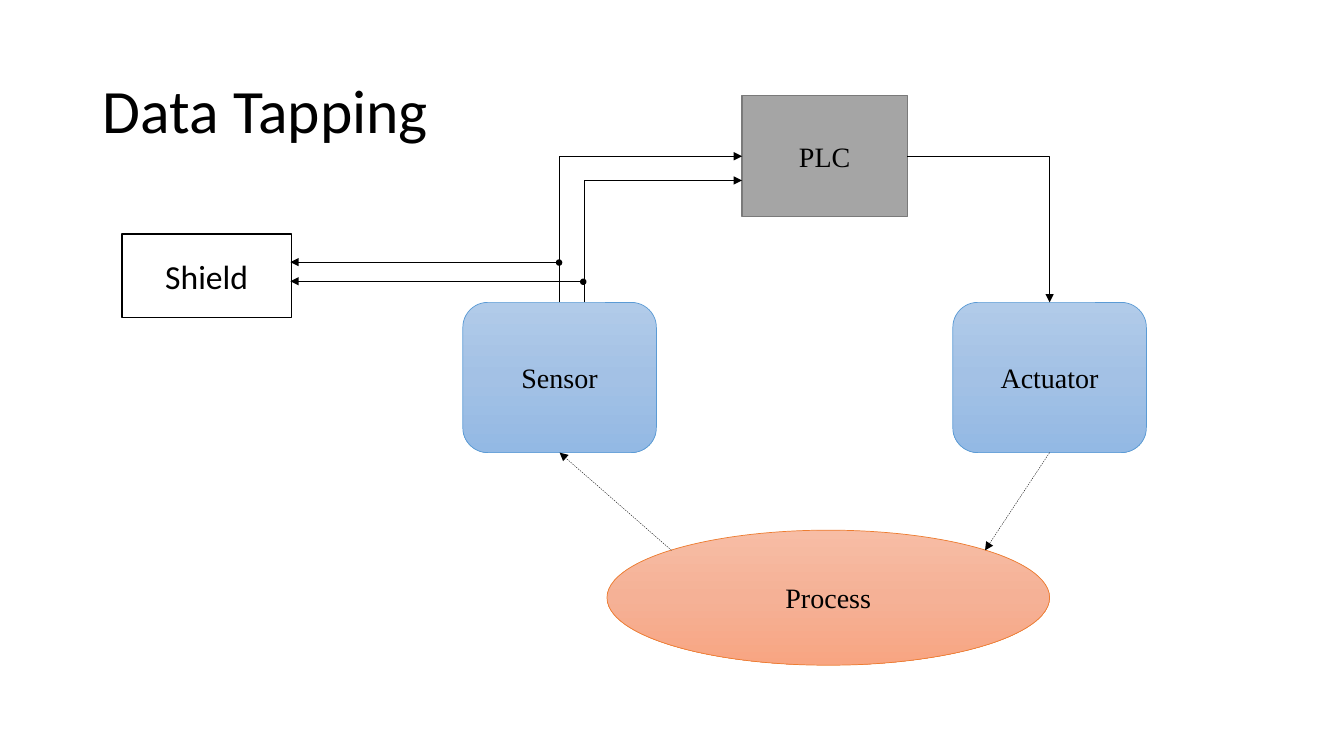
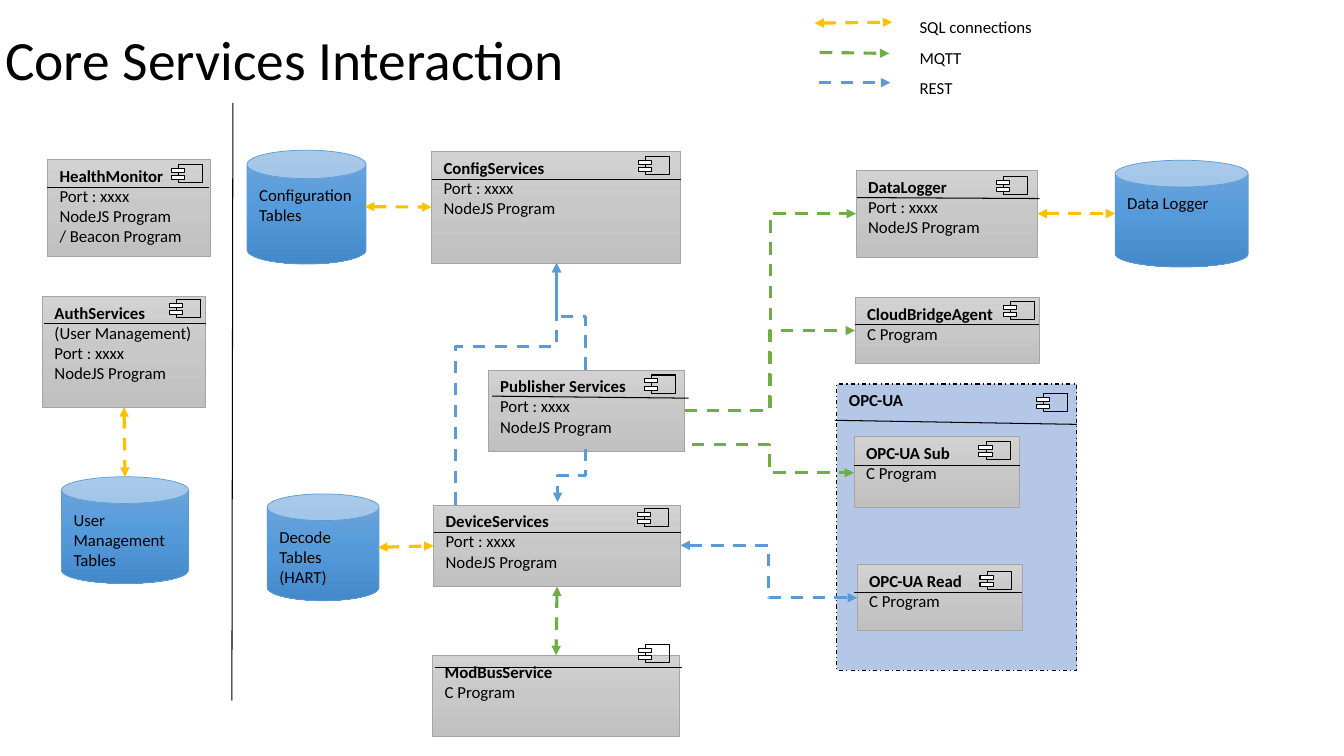
from copy import deepcopy

from pptx import Presentation
from pptx.dml.color import RGBColor
from pptx.enum.dml import MSO_LINE
from pptx.enum.shapes import MSO_CONNECTOR, MSO_SHAPE
from pptx.enum.text import MSO_ANCHOR, MSO_AUTO_SIZE, PP_ALIGN
from pptx.oxml.ns import qn
from pptx.oxml.xmlchemy import OxmlElement
from pptx.util import Inches, Pt

RECT, ROUND = MSO_SHAPE.RECTANGLE, MSO_SHAPE.ROUNDED_RECTANGLE
OVAL, CAN = MSO_SHAPE.OVAL, MSO_SHAPE.CAN
DASH, DOTTED = MSO_LINE.DASH, MSO_LINE.DASH_DOT
LEFT, CENTER = PP_ALIGN.LEFT, PP_ALIGN.CENTER
TOP, MIDDLE = MSO_ANCHOR.TOP, MSO_ANCHOR.MIDDLE
STRAIGHT, ELBOW = MSO_CONNECTOR.STRAIGHT, MSO_CONNECTOR.ELBOW

SANS, SERIF = "Calibri", "Times New Roman"
COLORS = {
    "black": "000000", "white": "FFFFFF", "gray": "A5A5A5", "edge": "7A7A7A",
    "blue": "5B9BD5", "orange": "ED7D31", "pale": "B4C7E7",
    "sql": "FFC000", "mqtt": "70AD47", "rest": "5B9BD5",
}
# Gradients run from top to bottom
FADES = {
    "sky": ("B1CBE9", "A3C1E5", "93B9E4"),
    "peach": ("F7BDA5", "F5B196", "F8A582"),
    "silver": ("D2D2D2", "C8C8C8", "C0C0C0"),
    "ocean": ("71A6DB", "559BDB", "448ACA"),
}


def rgb(name):
    return RGBColor.from_string(COLORS[name])


def inches(values):
    return [Inches(round(v, 3)) for v in values]


def style(par, size, font=SANS, bold=False, align=LEFT):
    par.alignment = align
    par.font.size, par.font.name, par.font.bold = Pt(size), font, bold
    par.font.color.rgb = rgb("black")


def title(slide, text, box, size):
    head = slide.shapes.title
    head.left, head.top, head.width, head.height = inches(box)
    frame = head.text_frame
    frame.text = text
    frame.auto_size = MSO_AUTO_SIZE.NONE
    frame.vertical_anchor = MIDDLE
    style(frame.paragraphs[0], size)
    frame.paragraphs[0].line_spacing = 0.9


def fade(shape, hexes):
    fill = shape.fill
    fill.gradient()
    fill.gradient_angle = 270
    stops = shape._element.spPr.find(".//" + qn("a:gsLst"))
    stops.insert(1, deepcopy(stops[0]))
    for stop, pos, code in zip(fill.gradient_stops, (0, 0.5, 1), hexes):
        stop.position = pos
        stop.color.rgb = RGBColor.from_string(code)


def block(parent, kind, box, fill, line, width):
    shape = parent.shapes.add_shape(kind, *inches(box))
    shape.shadow.inherit = False
    if fill is None:
        shape.fill.background()
    elif fill in FADES:
        fade(shape, FADES[fill])
    else:
        shape.fill.solid()
        shape.fill.fore_color.rgb = rgb(fill)
    shape.line.color.rgb = rgb(line)
    shape.line.width = Pt(width)
    return shape


def label(shape, lines, size=12, font=SANS, align=LEFT, anchor=TOP, heads=0):
    """Write one paragraph a line; the first `heads` of them are bold."""
    frame = shape.text_frame
    frame.word_wrap = True
    frame.vertical_anchor = anchor
    frame.margin_left = frame.margin_right = Inches(0.12)
    frame.margin_top = frame.margin_bottom = Inches(0.06)
    frame.text = "\n".join(lines)
    for i, par in enumerate(frame.paragraphs):
        style(par, size, font, i < heads, align)


def node(slide, kind, text, box, fill, line, width=0.5, size=20, font=SERIF):
    shape = block(slide, kind, box, fill, line, width)
    label(shape, [text], size, font, CENTER, MIDDLE)
    return shape


def finish(conn, color, width, dash, ends):
    conn._element.spPr.append(OxmlElement("a:effectLst"))
    conn.line.color.rgb = rgb(color)
    conn.line.width = Pt(width)
    if dash:
        conn.line.dash_style = dash
    line = conn._element.spPr.find(qn("a:ln"))
    for end in ends:
        tip = OxmlElement("a:" + end)
        tip.set("type", "triangle")
        line.append(tip)


def wire(slide, pts, color="black", width=0.75, dash=None, ends=(),
         start=None, stop=None):
    """Straight line; start and stop are (shape, side) to join."""
    conn = slide.shapes.add_connector(STRAIGHT, *inches(pts))
    if start:
        conn.begin_connect(*start)
    if stop:
        conn.end_connect(*stop)
    finish(conn, color, width, dash, ends)


def elbow(slide, pts, color="black", width=0.25, dash=None,
          ends=("tailEnd",), upright=False, adj=0.5, corner=False):
    """Bent line; upright ones leave vertically, as a turned connector."""
    x1, y1, x2, y2 = pts
    if upright:
        mx, my = (x1 + x2) / 2, (y1 + y2) / 2
        down = y2 > y1
        long, rise = abs(y2 - y1) / 2, (x1 - x2 if down else x2 - x1) / 2
        pts = (mx - long, my - rise, mx + long, my + rise)
    conn = slide.shapes.add_connector(ELBOW, *inches(pts))
    props = conn._element.spPr
    if upright:
        props.find(qn("a:xfrm")).set("rot", "5400000" if down else "16200000")
    geom = props.find(qn("a:prstGeom"))
    if corner:
        geom.set("prst", "bentConnector2")
    elif adj != 0.5:
        guide = OxmlElement("a:gd")
        guide.set("name", "adj1")
        guide.set("fmla", f"val {round(adj * 100000)}")
        geom.find(qn("a:avLst")).append(guide)
    finish(conn, color, width, dash, ends)


def icon(slide, x, y):
    """Component symbol: a frame with two tabs on its left side."""
    group = slide.shapes.add_group_shape()
    block(group, RECT, (x, y, 0.24, 0.18), None, "black", 0.75)
    for drop in (0.04, 0.11):
        block(group, RECT, (x - 0.07, y + drop, 0.13, 0.04),
              "white", "black", 0.75)


def part(slide, lines, box, rule, mark, fill="silver", line="gray", width=0.5):
    shape = block(slide, RECT, box, fill, line, width)
    label(shape, lines, heads=1)
    wire(slide, rule)
    icon(slide, *mark)
    return shape


def tapping(slide):
    title(slide, "Data Tapping", (0.92, 0.4, 11.5, 1.45), 44)
    # Control loop
    node(slide, RECT, "PLC", (7.36, 0.95, 1.64, 1.2), "gray", "edge", 1)
    sensor, motor = [
        node(slide, ROUND, text, (x, 3, 1.92, 1.49), "sky", "blue")
        for text, x in (("Sensor", 4.59), ("Actuator", 9.45))]
    node(slide, OVAL, "Process", (6.02, 5.26, 4.39, 1.34), "peach", "orange")
    elbow(slide, (5.55, 3, 7.36, 1.55), upright=True, corner=True)
    elbow(slide, (5.79, 3, 7.36, 1.79), upright=True, corner=True)
    elbow(slide, (9, 1.55, 10.41, 3), corner=True)
    wire(slide, (6.66, 5.46, 5.55, 4.49), width=0.25, dash=DASH,
         ends=["tailEnd"], stop=(sensor, 2))
    wire(slide, (10.41, 4.49, 9.77, 5.46), width=0.25, dash=DASH,
         ends=["tailEnd"], start=(motor, 2))
    # Taps to the shield
    node(slide, RECT, "Shield", (1.21, 2.32, 1.68, 0.83),
         "white", "black", 1, 24, SANS)
    for x, y in ((5.55, 2.6), (5.79, 2.79)):
        wire(slide, (x, y, 2.88, y), width=0.5, ends=["tailEnd"])
        block(slide, OVAL, (x - 0.03, y - 0.02, 0.05, 0.05),
              "black", "black", 1)


def legend(slide):
    box = slide.shapes.add_textbox(*inches((9.12, 0.07, 2.69, 0.76)))
    label(box, ["SQL connections", "MQTT", "REST"])
    frame = box.text_frame
    frame.margin_left = frame.margin_top = 0
    frame.margin_right = frame.margin_bottom = 0
    for par in frame.paragraphs:
        par.line_spacing = 1.5
    for pts, color, ends in (
            ((8.08, 0.23, 8.85, 0.22), "sql", ("headEnd", "tailEnd")),
            ((8.13, 0.52, 8.82, 0.53), "mqtt", ("tailEnd",)),
            ((8.12, 0.82, 8.83, 0.82), "rest", ("tailEnd",))):
        wire(slide, pts, color, 2.25, DASH, ends)


def services(slide):
    title(slide, "Core Services Interaction", (-0.05, 0.11, 13.34, 1.02), 39.6)
    legend(slide)
    wire(slide, (2.31, 1.02, 2.3, 6.95))
    part(slide, ["OPC-UA"], (8.3, 3.81, 2.38, 2.84), (8.28, 4.17, 10.68, 4.21),
         (10.35, 3.9), "pale", "black", 0.75).line.dash_style = DOTTED

    # Databases
    for text, box in (
            ("Decode Tables (HART)", (2.65, 4.9, 1.11, 1.06)),
            ("Configuration Tables", (2.45, 1.49, 1.18, 1.13)),
            ("User Management Tables", (0.61, 4.73, 1.26, 1.06)),
            ("Data Logger", (11.06, 1.59, 1.32, 1.06))):
        label(block(slide, CAN, box, "ocean", "blue", 0.5), [text])

    # Service components: name, notes, box, rule, icon
    port, node_js, c_prog = "Port : xxxx", "NodeJS Program", "C Program"
    rows = (
        ("HealthMonitor", [port, node_js, "/ Beacon Program"],
         (0.47, 1.58, 1.62, 0.96), (0.47, 1.86, 2.07, 1.86), (1.77, 1.63)),
        ("AuthServices", ["(User Management)", port, node_js],
         (0.42, 2.94, 1.62, 1.1), (0.44, 3.21, 2.04, 3.21), (1.75, 2.97)),
        ("ConfigServices", [port, node_js],
         (4.28, 1.5, 2.47, 1.11), (4.28, 1.78, 6.75, 1.78), (6.4, 1.55)),
        ("Publisher Services", [port, node_js],
         (4.84, 3.67, 1.95, 0.81), (4.88, 3.93, 6.83, 3.95), (6.46, 3.72)),
        ("DeviceServices", [port, node_js],
         (4.3, 5.01, 2.45, 0.81), (4.3, 5.28, 6.75, 5.28), (6.39, 5.04)),
        ("ModBusService", [c_prog],
         (4.29, 6.5, 2.45, 0.81), (4.31, 6.62, 6.76, 6.62), (6.4, 6.39)),
        ("DataLogger", [port, node_js],
         (8.49, 1.69, 1.8, 0.86), (8.5, 1.96, 10.31, 1.97), (9.95, 1.75)),
        ("CloudBridgeAgent", [c_prog],
         (8.48, 2.95, 1.83, 0.66), (8.48, 3.22, 10.31, 3.22), (10.02, 2.99)),
        ("OPC-UA Sub", [c_prog],
         (8.47, 4.33, 1.64, 0.7), (8.47, 4.62, 10.12, 4.62), (9.78, 4.38)),
        ("OPC-UA Read", [c_prog],
         (8.5, 5.6, 1.64, 0.65), (8.47, 5.88, 10.14, 5.88), (9.79, 5.67)),
    )
    parts = {name: part(slide, [name] + notes, box, rule, mark)
             for name, notes, box, rule, mark in rows}
    device = parts["DeviceServices"]

    # Two-way links
    for pts, color, start, stop in (
            ((1.23, 4.04, 1.24, 4.73), "sql",
             (parts["AuthServices"], 2), None),
            ((3.75, 5.43, 4.3, 5.41), "sql", None, (device, 1)),
            ((3.62, 2.05, 4.28, 2.06), "sql",
             None, (parts["ConfigServices"], 1)),
            ((10.29, 2.12, 11.06, 2.12), "sql",
             (parts["DataLogger"], 3), None),
            ((5.53, 5.82, 5.52, 6.5), "mqtt",
             (device, 2), (parts["ModBusService"], 0))):
        wire(slide, pts, color, 2.25, DASH, ("headEnd", "tailEnd"),
             start, stop)

    # Bent links
    for pts, adj in (((6.79, 4.07, 8.49, 2.12), 0.5),
                     ((6.79, 4.07, 8.48, 3.28), 0.5),
                     ((6.86, 4.41, 8.47, 4.69), 0.48)):
        elbow(slide, pts, "mqtt", 2.25, DASH, adj=adj)
    elbow(slide, (6.75, 5.41, 8.5, 5.93), "rest", 2.25, DASH,
          ("headEnd", "tailEnd"))
    for pts, adj in (((4.52, 5.01, 5.52, 2.61), 0.655),
                     ((5.81, 3.67, 5.52, 2.61), 0.5),
                     ((5.81, 4.45, 5.53, 4.98), 0.5)):
        elbow(slide, pts, "rest", 2.25, DASH, upright=True, adj=adj)


def main():
    deck = Presentation()
    deck.slide_width, deck.slide_height = inches((13.33, 7.5))
    for draw in (tapping, services):
        draw(deck.slides.add_slide(deck.slide_layouts[5]))
    deck.save("out.pptx")


if __name__ == "__main__":
    main()
